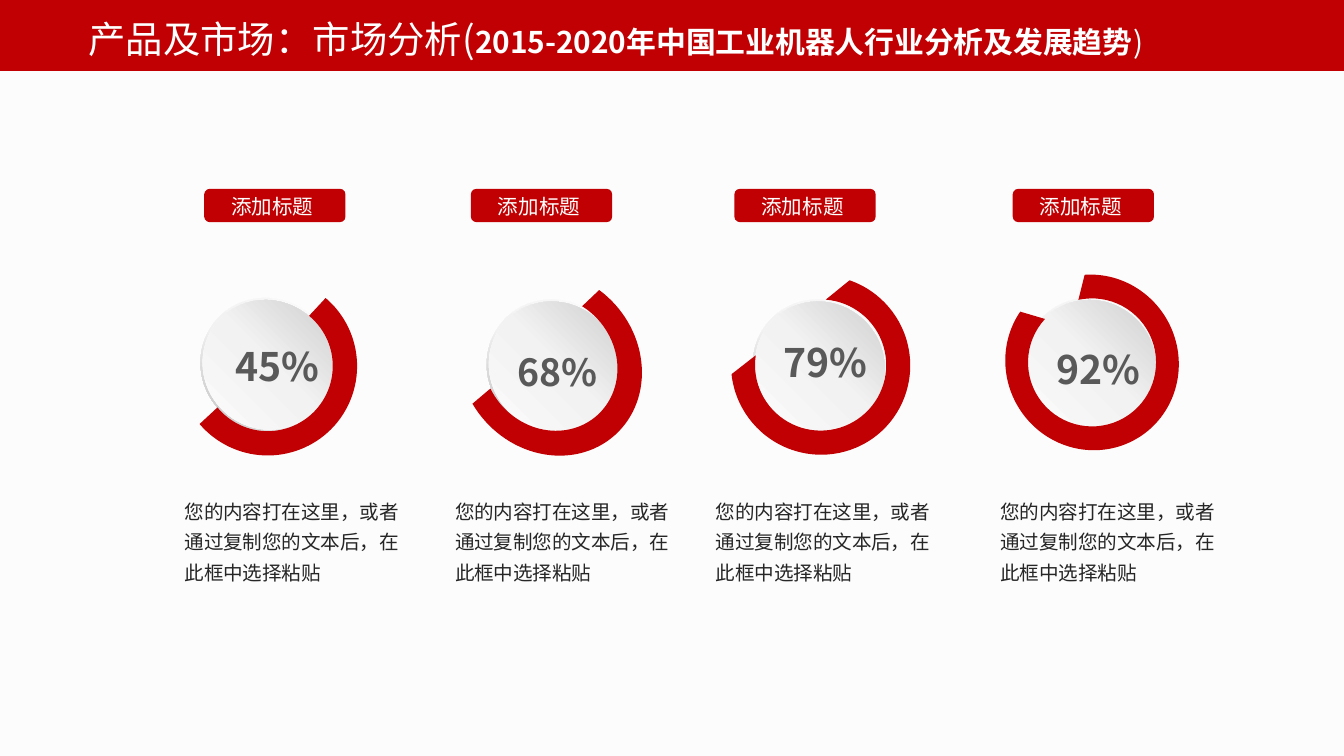
from math import cos, radians, sin, tan

from lxml import etree
from pptx import Presentation
from pptx.dml.color import RGBColor
from pptx.enum.shapes import MSO_SHAPE
from pptx.enum.text import MSO_AUTO_SIZE, PP_ALIGN
from pptx.oxml.ns import qn
from pptx.util import Cm, Pt

RECT = MSO_SHAPE.RECTANGLE
BADGE = MSO_SHAPE.FLOWCHART_ALTERNATE_PROCESS
DONUT, OVAL = MSO_SHAPE.DONUT, MSO_SHAPE.OVAL
FIT = MSO_AUTO_SIZE.SHAPE_TO_FIT_TEXT
LEFT, CENTER = PP_ALIGN.LEFT, PP_ALIGN.CENTER

THEME = {
    "font": "Noto Sans CJK SC",
    "background": "FCFCFC", "accent": "C00002", "white": "FFFFFF",
    "value": "595959", "body": "262626",
    "rim": [(0, "FFFFFF"), (55, "F2F2F2"), (100, "A6A6A6")],
    "disc": [(0, "FFFFFF"), (51, "F2F2F2"), (100, "BFBFBF")],
    "title_size": 20, "subtitle_size": 16, "badge_size": 11, "body_size": 10.5,
}

# Text, size in points, bold
TITLE = [
    ("产品及市场：市场分析(", THEME["title_size"], False),
    ("2015-2020年中国工业机器人行业分析及发展趋势", THEME["subtitle_size"], True),
    (")", THEME["subtitle_size"], False),
]
BADGE_TEXT = "添加标题"
BODY_TEXT = "您的内容打在这里，或者通过复制您的文本后，在此框中选择粘贴"

# Lengths in cm. Ring: centre, rotation in degrees, then for the outer and the
# inner edge: x radius, y radius, rise of the ends above the horizontal
GAUGES = [
    {"value": "45%", "size": 21, "value_at": (4.2, 6.35), "dial": (3.81, 5.61),
     "badge": 3.86, "body": 3.29,
     "ring": ((5.06, 6.92), 315, (1.69, 1.69, 4.6), (1.23, 1.23, 5.5))},
    {"value": "68%", "size": 20, "value_at": (9.53, 6.48), "dial": (9.22, 5.64),
     "badge": 8.9, "body": 8.4,
     "ring": ((10.4, 6.86), 318.1, (1.65, 1.83, 12.9), (1.22, 1.33, 17.3))},
    {"value": "79%", "size": 21, "value_at": (14.55, 6.27), "dial": (14.25, 5.64),
     "badge": 13.88, "body": 13.33,
     "ring": ((15.51, 6.9), 321.5, (1.69, 1.7, 32.5), (1.24, 1.24, 47))},
    {"value": "92%", "size": 21, "value_at": (19.71, 6.4), "dial": (19.38, 5.61),
     "badge": 19.14, "body": 18.71,
     "ring": ((20.64, 6.85), 330.2, (1.63, 1.67, 64.5), (1.21, 1.21, 72.5))},
]
DIAL_ROTATION = 315
ARC_CURVES = 4


def paint(s, color):
    s.shadow.inherit = False
    s.fill.solid()
    s.fill.fore_color.rgb = RGBColor.from_string(color)
    s.line.fill.background()


def add_shape(shapes, kind, x, y, w, h, color):
    s = shapes.add_shape(kind, Cm(x), Cm(y), Cm(w), Cm(h))
    paint(s, color)
    return s


def set_gradient(s, stops, angle):
    """Replace the fill with a multi-stop gradient fixed to the page."""
    s.fill.gradient()
    grad = s._element.spPr.find(qn("a:gradFill"))
    grad.set("rotWithShape", "0")
    for child in list(grad):
        grad.remove(child)
    stop_list = etree.SubElement(grad, qn("a:gsLst"))
    for position, color in stops:
        stop = etree.SubElement(stop_list, qn("a:gs"), pos=str(position * 1000))
        etree.SubElement(stop, qn("a:srgbClr"), val=color)
    etree.SubElement(grad, qn("a:lin"), ang=str(angle * 60000), scaled="0")


def add_text(shapes, x, y, w, h, runs, color, align=LEFT, wrap=True):
    """Add a one-paragraph box; runs are (text, size, bold)."""
    tf = shapes.add_textbox(Cm(x), Cm(y), Cm(w), Cm(h)).text_frame
    tf.word_wrap = wrap
    tf.auto_size = FIT
    p = tf.paragraphs[0]
    p.alignment = align
    for text, size, bold in runs:
        r = p.add_run()
        r.text = text
        r.font.size, r.font.bold, r.font.name = Pt(size), bold, THEME["font"]
        r.font.color.rgb = RGBColor.from_string(color)
        etree.SubElement(r._r.get_or_add_rPr(), qn("a:ea"), typeface=THEME["font"])
    return tf


def arc(center, rx, ry, rise):
    """Bezier points clockwise from right to left through the bottom."""
    step = radians(180 + 2 * rise) / ARC_CURVES
    pull = 4 / 3 * tan(step / 4)
    units = [(cos(radians(rise)), -sin(radians(rise)))]
    for i in range(ARC_CURVES):
        a = i * step - radians(rise)
        b = a + step
        units += [(cos(a) - pull * sin(a), sin(a) + pull * cos(a)),
                  (cos(b) + pull * sin(b), sin(b) - pull * cos(b)),
                  (cos(b), sin(b))]
    return [(Cm(center[0] + rx * x), Cm(center[1] + ry * y)) for x, y in units]


def add_ring(shapes, center, rotation, outer, inner):
    """Draw an open ring and turn it about its own centre point."""
    cx, cy = (Cm(v) for v in center)
    rx, ry = Cm(outer[0]), Cm(outer[1])
    outer_arc, inner_arc = arc(center, *outer), arc(center, *inner)[::-1]
    extremes = [(cx + rx, cy), (cx, cy + ry), (cx - rx, cy)]
    builder = shapes.build_freeform(*outer_arc[0])
    builder.add_line_segments(extremes + [outer_arc[-1]], close=True)
    s = builder.convert_to_shape()
    paint(s, THEME["accent"])

    outline = s._element.spPr.find(".//" + qn("a:path"))
    for child in list(outline):
        outline.remove(child)

    def draw(tag, points):
        segment = etree.SubElement(outline, qn(tag))
        for x, y in points:
            etree.SubElement(segment, qn("a:pt"), x=str(x - s.left), y=str(y - s.top))

    for tag, edge in (("a:moveTo", outer_arc), ("a:lnTo", inner_arc)):
        draw(tag, edge[:1])
        for i in range(1, len(edge), 3):
            draw("a:cubicBezTo", edge[i:i + 3])
    draw("a:close", [])

    drop, turn = s.top + s.height / 2 - cy, radians(rotation)
    s.left = int(cx - drop * sin(turn) - s.width / 2)
    s.top = int(cy + drop * cos(turn) - s.height / 2)
    s.rotation = rotation


def add_dial(shapes, gauge):
    x, y = gauge["dial"]
    rim = add_shape(shapes, DONUT, x, y, 2.49, 2.57, THEME["white"])
    rim.adjustments[0] = 0.05
    disc = add_shape(shapes, OVAL, x + 0.04, y + 0.04, 2.41, 2.49, THEME["white"])
    for s, stops, angle in ((rim, THEME["rim"], 135), (disc, THEME["disc"], 315)):
        set_gradient(s, stops, angle)
        s.rotation = DIAL_ROTATION
    add_text(shapes, *gauge["value_at"], 2.29, 1.14,
             [(gauge["value"], gauge["size"], True)], THEME["value"])


def add_badge(shapes, x):
    add_shape(shapes, BADGE, x, 3.57, 2.67, 0.63, THEME["accent"])
    add_text(shapes, x + 0.25, 3.55, 2.08, 0.74,
             [(BADGE_TEXT, THEME["badge_size"], False)], THEME["white"], CENTER, False)


def add_body(shapes, x):
    tf = add_text(shapes, x, 9.21, 4.57, 1.93,
                  [(BODY_TEXT, THEME["body_size"], False)], THEME["body"])
    tf.margin_left = tf.margin_right = Cm(0.2)
    tf.margin_top = tf.margin_bottom = Cm(0.1)
    tf.paragraphs[0].line_spacing = 1.3


def main():
    prs = Presentation()
    prs.slide_width, prs.slide_height = Cm(25.4), Cm(14.29)
    slide = prs.slides.add_slide(prs.slide_layouts[6])
    slide.background.fill.solid()
    slide.background.fill.fore_color.rgb = RGBColor.from_string(THEME["background"])
    shapes = slide.shapes
    for gauge in GAUGES:
        add_dial(shapes.add_group_shape().shapes, gauge)
    for gauge in GAUGES:
        add_ring(shapes, *gauge["ring"])
    for gauge in GAUGES:
        add_badge(shapes.add_group_shape().shapes, gauge["badge"])
    for gauge in GAUGES:
        add_body(shapes, gauge["body"])
    add_shape(shapes, RECT, 0, 0, 25.4, 1.34, THEME["accent"])
    add_text(shapes, 1.42, 0.18, 22.28, 1.12, TITLE, THEME["white"])
    prs.save("out.pptx")


if __name__ == "__main__":
    main()
